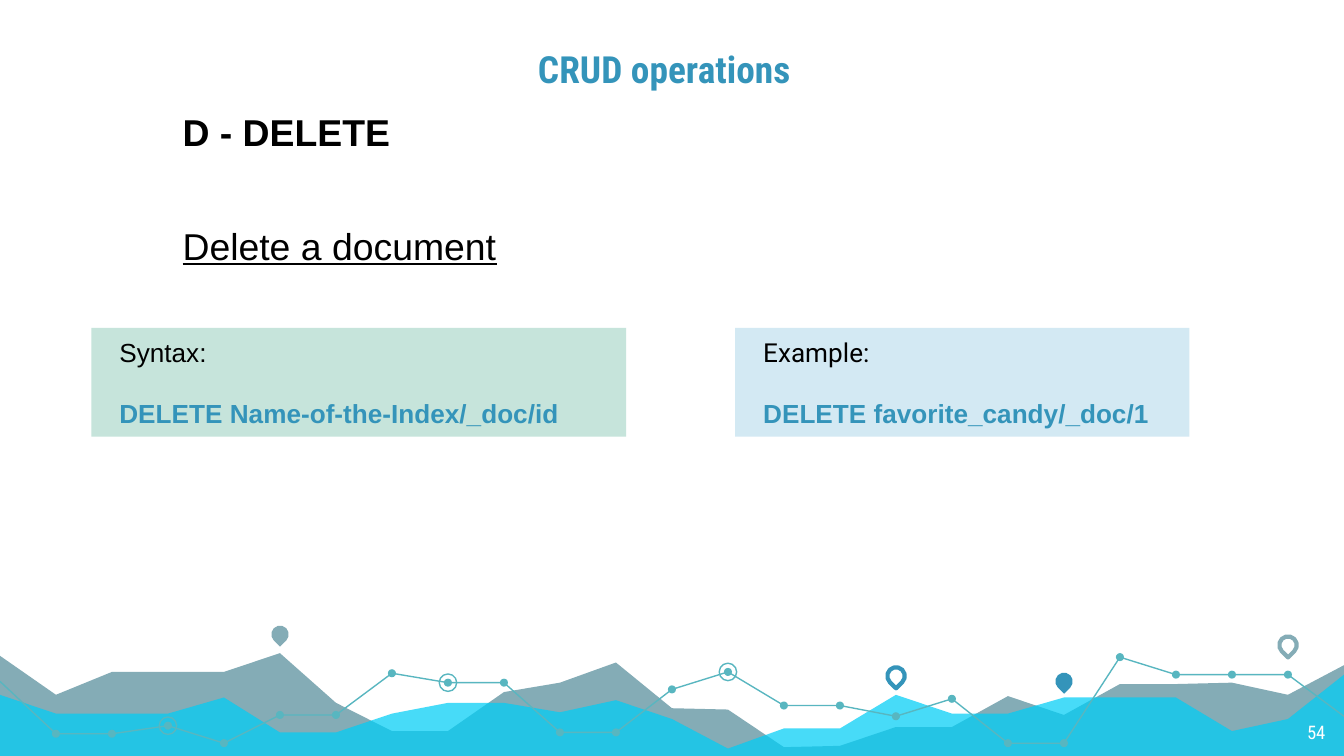
import pptx
import pptx.dml.color
import pptx.enum.shapes
import pptx.enum.text
import pptx.oxml
import pptx.oxml.ns
import pptx.util
from pptx.util import Inches

COLORS = {
    "title": "3494BA", "black": "000000", "white": "FFFFFF",
    "grey": "84ACB6", "cyan": "00CEF6", "teal": "58B6C0",
    "syntax": "C6E4DB", "example": "D3E9F3",
}
SHAPES = pptx.enum.shapes.MSO_SHAPE
ALIGN = pptx.enum.text.PP_ALIGN
ANCHOR = pptx.enum.text.MSO_ANCHOR

# Heights below the top of the landscape, at equal steps from left to right
GREY_HILLS = [.28, .57, .4, .4, .4, .26, .63, .84, .84, .55, .48, .33, .67,
              .68, .96, .95, .81, .81, .58, .72, .49, .49, .48, .57, .35]
CYAN_HILLS = [.57, .71, .71, .71, .59, .85, .85, .71, .63, .63, .7, .61, .75,
              .97, .82, .82, .57, .71, .71, .59, .59, .59, .84, .75, .42]
TREND = [.47, .86, .86, .8, .93, .72, .72, .41, .48, .48, .85, .85, .53,
         .4, .65, .65, .73, .6, .93, .93, .29, .42, .42, .42, .73]
RINGED = (3, 8, 13)
# Step, centre height, colour, filled
PINS = [(5, .12, "grey", True), (16, .43, "title", False),
        (19, .47, "title", True), (23, .2, "grey", False)]


def rgb(name):
    return pptx.dml.color.RGBColor.from_string(COLORS[name])


def style(shape, fill=None, line=None, width=0.75):
    shape.shadow.inherit = False
    if fill:
        shape.fill.solid()
        shape.fill.fore_color.rgb = rgb(fill)
    else:
        shape.fill.background()
    if line:
        shape.line.color.rgb = rgb(line)
        shape.line.width = pptx.util.Pt(width)
    else:
        shape.line.fill.background()


def set_margins(frame, horizontal, vertical):
    frame.word_wrap = True
    frame.margin_left = frame.margin_right = Inches(horizontal)
    frame.margin_top = frame.margin_bottom = Inches(vertical)


def add_run(paragraph, text, size, font, color, bold=False, underline=False):
    run = paragraph.add_run()
    run.text = text
    run.font.size = pptx.util.Pt(size)
    run.font.name = font
    run.font.bold = bold
    run.font.underline = underline
    run.font.color.rgb = rgb(color)


def add_lines(frame, lines, size, gap):
    """Write indented lines, each (text, font, color, bold, underline)."""
    for index, (text, *look) in enumerate(lines):
        paragraph = frame.add_paragraph() if index else frame.paragraphs[0]
        paragraph.alignment = ALIGN.LEFT
        paragraph._p.get_or_add_pPr().set("marL", str(Inches(0.11)))
        if index:
            paragraph.space_before = pptx.util.Pt(gap)
        add_run(paragraph, text, size, *look)


def add_path(slide, points, closed):
    corners = [(Inches(x), Inches(y)) for x, y in points]
    builder = slide.shapes.build_freeform(*corners[0], scale=1.0)
    builder.add_line_segments(corners[1:], close=closed)
    return builder.convert_to_shape()


def add_centred(slide, kind, x, y, size):
    return slide.shapes.add_shape(kind, Inches(x - size / 2), Inches(y - size / 2),
                                  Inches(size), Inches(size))


def add_landscape(slide, left, top, width, height):
    step = width / (len(TREND) - 1)

    def ridge(heights):
        return [(left + index * step, top + y) for index, y in enumerate(heights)]

    # Hills
    base = [(left + width, top + height), (left, top + height)]
    for heights, color in ((GREY_HILLS, "grey"), (CYAN_HILLS, "cyan")):
        hills = add_path(slide, ridge(heights) + base, True)
        style(hills, fill=color)
    # The front hills are see-through
    front_color = hills._element.spPr.find(".//" + pptx.oxml.ns.qn("a:srgbClr"))
    front_color.append(pptx.oxml.parse_xml(
        f'<a:alpha {pptx.oxml.ns.nsdecls("a")} val="72000"/>'))

    # Map pins
    for index, y, color, filled in PINS:
        pin = add_centred(slide, SHAPES.TEAR, left + index * step, top + y, 0.13)
        pin.rotation = 135
        if filled:
            style(pin, fill=color)
        else:
            style(pin, line=color, width=2.25)

    # Trend line with dots and rings between its ends
    trend = ridge(TREND)
    style(add_path(slide, trend, False), line="teal")
    for index, (x, y) in enumerate(trend[1:-1], start=1):
        style(add_centred(slide, SHAPES.OVAL, x, y, 0.06), fill="teal")
        if index in RINGED:
            style(add_centred(slide, SHAPES.OVAL, x, y, 0.13), line="teal")


def add_title(slide, left, top, width, height):
    title = slide.shapes.title
    title.left, title.top = Inches(left), Inches(top)
    title.width, title.height = Inches(width), Inches(height)
    frame = title.text_frame
    set_margins(frame, 0.1, 0.1)
    frame.vertical_anchor = ANCHOR.BOTTOM
    paragraph = frame.paragraphs[0]
    paragraph.alignment = ALIGN.CENTER
    add_run(paragraph, "CRUD operations ", 20, "Roboto Condensed", "title", True)


def add_body(slide, left, top, width, height):
    box = slide.shapes.add_textbox(Inches(left), Inches(top), Inches(width), Inches(height))
    set_margins(box.text_frame, 0.1, 0.1)
    add_lines(box.text_frame, [
        ("D - DELETE", "Arial", "black", True),
        ("Delete a document", "Arial", "black", False, True),
    ], 20, 37)


def add_code_panel(slide, left, top, width, height, fill, heading, font, command):
    panel = slide.shapes.add_shape(SHAPES.RECTANGLE, Inches(left), Inches(top),
                                   Inches(width), Inches(height))
    style(panel, fill=fill)
    set_margins(panel.text_frame, 0.1, 0.05)
    panel.text_frame.vertical_anchor = ANCHOR.MIDDLE
    add_lines(panel.text_frame, [
        (heading, font, "black"),
        (command, "Arial", "title", True),
    ], 14, 16)


def add_slide_number(slide, left, top, width, height):
    box = slide.shapes.add_textbox(Inches(left), Inches(top), Inches(width), Inches(height))
    set_margins(box.text_frame, 0.1, 0.1)
    paragraph = box.text_frame.paragraphs[0]
    paragraph.alignment = ALIGN.RIGHT
    add_run(paragraph, "54", 10, "Roboto Condensed", "white")


def main():
    presentation = pptx.Presentation()
    presentation.slide_width = Inches(10)
    presentation.slide_height = Inches(10 * 9 / 16)
    slide = presentation.slides.add_slide(presentation.slide_layouts[5])

    add_landscape(slide, 0, 4.6, 10, 1.04)
    add_title(slide, 1.15, 0, 7.65, 0.78)
    add_body(slide, 1.15, 0.71, 7.65, 3.76)
    add_slide_number(slide, 9.36, 5.28, 0.6, 0.35)
    add_code_panel(slide, 5.47, 2.44, 3.38, 0.81, "example", "Example:", "Roboto",
                   "DELETE favorite_candy/_doc/1")
    add_code_panel(slide, 0.68, 2.44, 3.98, 0.81, "syntax", "Syntax:", "Arial",
                   "DELETE Name-of-the-Index/_doc/id")
    presentation.save("out.pptx")


if __name__ == "__main__":
    main()
